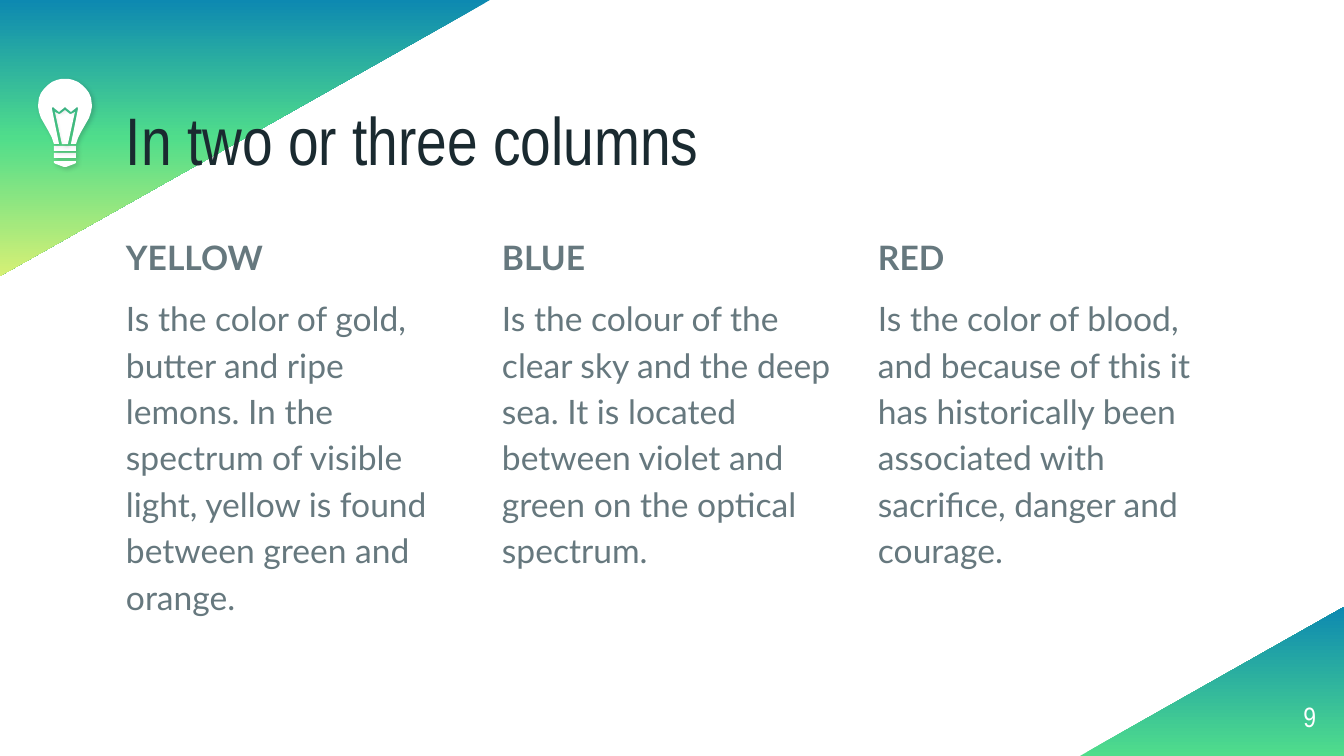
from dataclasses import dataclass
from typing import NamedTuple

from lxml import etree
from copy import deepcopy

from pptx import Presentation
from pptx.dml.color import RGBColor
from pptx.enum.shapes import MSO_SHAPE
from pptx.enum.text import MSO_ANCHOR, MSO_AUTO_SIZE, PP_ALIGN
from pptx.oxml.ns import qn
from pptx.util import Emu, Pt

EMU_PER_PX = 914400 / 134.4
RIGHT_TRIANGLE = MSO_SHAPE.RIGHT_TRIANGLE
TOP, MIDDLE, BOTTOM = MSO_ANCHOR.TOP, MSO_ANCHOR.MIDDLE, MSO_ANCHOR.BOTTOM
LEFT, RIGHT = PP_ALIGN.LEFT, PP_ALIGN.RIGHT
NO_AUTOFIT = MSO_AUTO_SIZE.NONE
COMPARISON_LAYOUT = 4


@dataclass(frozen=True)
class Theme:
    ink: str = "1A2A30"
    body: str = "66787E"
    white: str = "FFFFFF"
    blue: str = "0D89B1"
    green: str = "50DD8B"
    lime: str = "D6F075"
    title_font: str = "Arial Narrow"
    body_font: str = "Lato"
    title_size: int = 36
    body_size: int = 18
    number_size: int = 15


class Box(NamedTuple):
    left: int
    top: int
    width: int
    height: int


class Corner(NamedTuple):
    box: Box
    rotation: int
    colors: tuple[str, ...]


class Column(NamedTuple):
    heading: str
    description: str


THEME = Theme()
SLIDE_WIDTH, SLIDE_HEIGHT = 1344, 756

CORNERS = (
    Corner(Box(0, 0, 490, 276), 90, (THEME.blue, THEME.green, THEME.lime)),
    Corner(Box(1080, 607, 264, 149), 270, (THEME.green, THEME.blue)),
)

COLUMNS = (
    Column("YELLOW", "Is the color of gold, butter and ripe lemons. In the spectrum "
           "of visible light, yellow is found between green and orange."),
    Column("BLUE", "Is the colour of the clear sky and the deep sea. It is located "
           "between violet and green on the optical spectrum."),
    Column("RED", "Is the color of blood, and because of this it has historically "
           "been associated with sacrifice, danger and courage."),
)
FIRST_COLUMN = Box(126, 231, 340, 456)
COLUMN_PITCH = 376

# Right halves of the bulb's parts: (distance from its axis, y)
BULB_AXIS = 65
BULB_HALVES = (
    ((0, 153), (11, 153), (11, 158), (0, 158)),
    ((0, 146), (11, 146), (11, 151), (0, 151)),
    ((0, 161), (11, 161), (11, 163), (9, 164), (1, 167), (0, 167)),
    ((0, 110), (5, 114), (6, 114), (10, 112), (3, 144), (0, 144)),
    ((0, 79), (4, 79), (8, 80), (13, 82), (17, 85), (21, 89), (24, 93), (26, 98),
     (27, 106), (26, 112), (24, 118), (20, 125), (16, 132), (13, 138), (11, 144),
     (6, 144), (10, 124), (13, 109), (13, 108), (12, 107), (11, 108), (6, 112),
     (1, 108), (0, 107)),
)


def px(length: float) -> Emu:
    return Emu(round(length * EMU_PER_PX))


def place(shape, box: Box) -> None:
    shape.left, shape.top, shape.width, shape.height = map(px, box)


def prepare_frame(shape, anchor):
    """Empty the insets and fix the wrapping, then return the text frame."""
    frame = shape.text_frame
    frame.margin_left = frame.margin_top = frame.margin_right = frame.margin_bottom = 0
    frame.word_wrap = True
    frame.auto_size = NO_AUTOFIT
    frame.vertical_anchor = anchor
    return frame


def write(paragraph, text: str, *, font: str, size: int, color: str, bold=False,
          align=LEFT, spacing=1.0, before=0, after=0) -> None:
    properties = paragraph._p.get_or_add_pPr()
    properties.set("marL", "0")
    properties.set("indent", "0")
    etree.SubElement(properties, qn("a:buNone"))
    paragraph.alignment = align
    paragraph.line_spacing = spacing
    paragraph.space_before, paragraph.space_after = Pt(before), Pt(after)
    run = paragraph.add_run()
    run.text = text
    run.font.name, run.font.size, run.font.bold = font, Pt(size), bold
    run.font.color.rgb = RGBColor.from_string(color)


def add_corner(slide, corner: Corner) -> None:
    """Fill a slide corner with a triangle turned by a quarter, behind the text."""
    left, top, width, height = corner.box
    inset = (width - height) / 2
    triangle = slide.shapes.add_shape(
        RIGHT_TRIANGLE, px(left + inset), px(top - inset), px(height), px(width))
    triangle.rotation = corner.rotation
    triangle.shadow.inherit = False
    triangle.line.fill.background()
    triangle.fill.gradient()
    triangle.fill.gradient_angle = 0
    stops = triangle.fill._fill._gradFill.find(qn("a:gsLst"))
    while len(stops) < len(corner.colors):
        stops.append(deepcopy(stops[-1]))
    for index, (stop, color) in enumerate(zip(triangle.fill.gradient_stops, corner.colors)):
        stop.position = index / (len(corner.colors) - 1)
        stop.color.rgb = RGBColor.from_string(color)
    slide.shapes._spTree.insert(2 + CORNERS.index(corner), triangle._element)


def add_soft_shadow(shape) -> None:
    shape.shadow.inherit = False
    effects = shape._element.spPr.find(qn("a:effectLst"))
    shadow = etree.SubElement(effects, qn("a:outerShdw"), blurRad=str(Pt(2.2)),
                              dist=str(Pt(1.5)), dir="2700000", algn="bl", rotWithShape="0")
    color = etree.SubElement(shadow, qn("a:srgbClr"), val=THEME.ink)
    etree.SubElement(color, qn("a:alpha"), val="20000")


def add_bulb(slide) -> None:
    bulb = slide.shapes.add_group_shape()
    for half in BULB_HALVES:
        outline = [(BULB_AXIS + x, y) for x, y in half]
        outline += [(BULB_AXIS - x, y) for x, y in reversed(half)]
        builder = bulb.shapes.build_freeform(*outline[0], scale=EMU_PER_PX)
        builder.add_line_segments(outline[1:], close=True)
        part = builder.convert_to_shape()
        part.fill.solid()
        part.fill.fore_color.rgb = RGBColor.from_string(THEME.white)
        part.line.fill.background()
        add_soft_shadow(part)


def fill_column(placeholder, column: Column, box: Box) -> None:
    place(placeholder, box)
    frame = prepare_frame(placeholder, TOP)
    look = dict(font=THEME.body_font, size=THEME.body_size, color=THEME.body, spacing=1.15)
    write(frame.paragraphs[0], column.heading, bold=True, **look)
    write(frame.add_paragraph(), column.description, before=8, after=8, **look)


def main() -> None:
    deck = Presentation()
    deck.slide_width, deck.slide_height = px(SLIDE_WIDTH), px(SLIDE_HEIGHT)
    slide = deck.slides.add_slide(deck.slide_layouts[COMPARISON_LAYOUT])

    for corner in CORNERS:
        add_corner(slide, corner)

    title = slide.shapes.title
    place(title, Box(126, 122, 1094, 58))
    write(prepare_frame(title, BOTTOM).paragraphs[0], "In two or three columns",
          font=THEME.title_font, size=THEME.title_size, color=THEME.ink, spacing=0.9)

    bodies = list(slide.placeholders)[1:]
    for index, (body, column) in enumerate(zip(bodies, COLUMNS)):
        left = FIRST_COLUMN.left + index * COLUMN_PITCH
        fill_column(body, column, FIRST_COLUMN._replace(left=left))
    for unused in bodies[len(COLUMNS):]:
        slide.shapes._spTree.remove(unused._element)

    page_number = slide.shapes.add_textbox(*map(px, Box(1235, 687, 81, 58)))
    write(prepare_frame(page_number, MIDDLE).paragraphs[0], "9", font=THEME.title_font,
          size=THEME.number_size, color=THEME.white, align=RIGHT)

    add_bulb(slide)
    deck.save("out.pptx")


if __name__ == "__main__":
    main()
